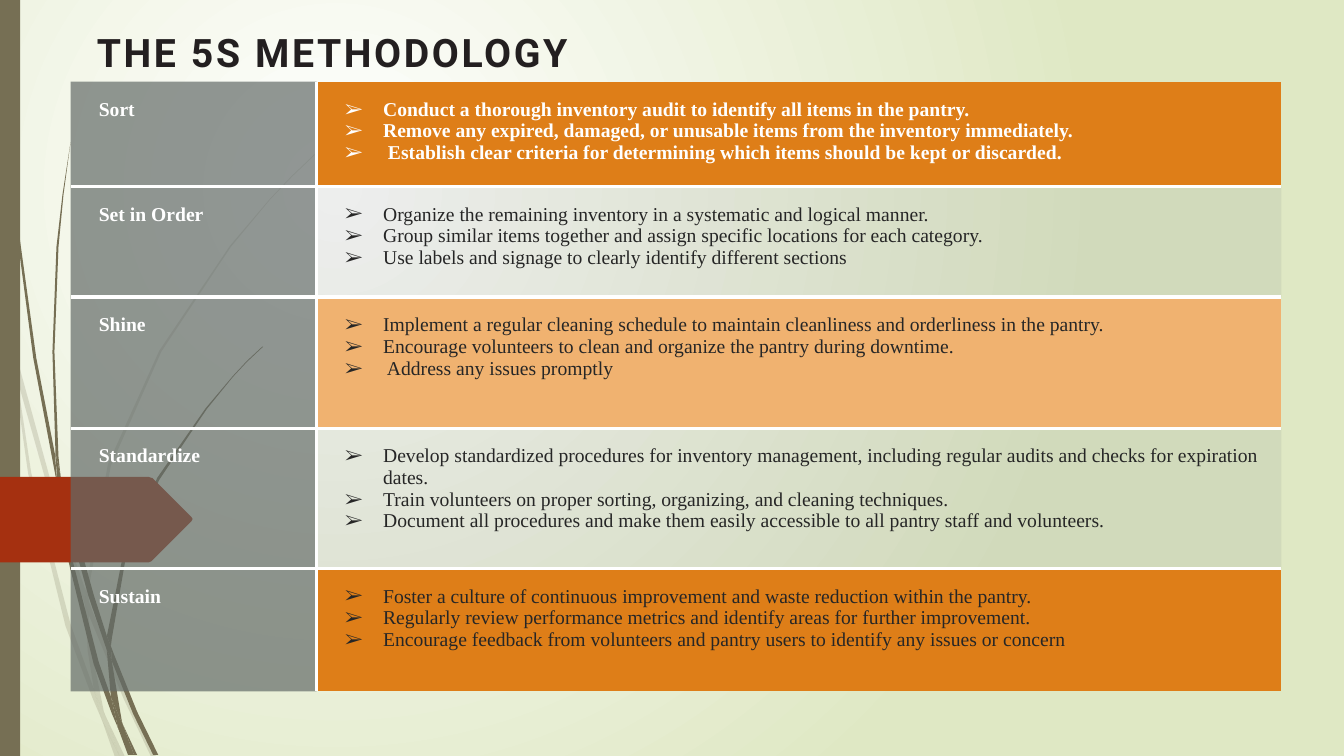
from itertools import product

from lxml.etree import SubElement
from pptx import Presentation
from pptx.dml.color import RGBColor
from pptx.enum.shapes import MSO_SHAPE
from pptx.enum.text import MSO_ANCHOR, PP_ALIGN
from pptx.oxml.ns import qn
from pptx.util import Pt

PX = 9144
COLORS = {
    "white": "FFFFFF", "meadow": "DFE8C4", "bark": "766F54", "rust": "A53010",
    "title": "231F20", "ink": "262626", "slate": "636B68", "mist": "878E8B",
    "orange": "DE7E18", "peach": "F0B270",
}

FAINT_GRASS = [
    [(11, 350), (9, 322), (0, 282), (0, 299), (10, 344)],
    [(58, 522), (84, 599), (85, 586), (62, 520), (14, 345), (17, 376)],
    [(92, 607), (88, 596), (88, 610), (123, 694), (150, 751), (155, 751), (127, 692)],
    [(119, 751), (124, 751), (105, 711)],
    [(93, 683), (70, 619), (31, 469), (17, 376), (11, 350), (28, 470), (65, 621),
     (92, 693), (101, 714), (99, 707)],
    [(84, 599), (87, 646), (93, 683), (96, 692), (105, 711), (103, 706), (91, 646),
     (88, 610), (88, 608)],
    [(88, 584), (110, 462), (160, 349), (229, 245), (268, 198), (290, 175), (312, 154),
     (312, 153), (289, 175), (268, 197), (228, 244), (158, 348), (107, 461), (85, 584),
     (85, 586), (88, 596)],
    [(101, 714), (114, 751), (119, 751)],
    [(88, 608), (88, 610), (88, 596), (85, 586), (84, 599)],
    [(96, 692), (93, 683), (99, 707), (101, 714), (119, 751), (105, 711)],
]
STRONG_GRASS = [
    [(7, 110), (17, 233), (33, 355), (56, 477), (57, 481), (55, 457), (55, 453), (36, 355),
     (19, 232), (8, 109), (5, 48), (4, 0), (3, 0), (4, 48)],
    [(88, 592), (106, 645), (106, 633), (106, 631), (93, 590), (60, 472), (64, 505)],
    [(113, 649), (110, 641), (111, 656), (132, 708), (152, 749), (157, 749), (136, 706)],
    [(110, 691), (98, 657), (72, 556), (64, 505), (57, 477), (68, 557), (93, 659),
     (111, 708), (117, 722), (116, 717)],
    [(60, 472), (58, 453), (54, 349), (58, 245), (63, 193), (70, 141), (62, 193), (56, 245),
     (52, 349), (55, 449)],
    [(133, 749), (136, 749), (122, 719)],
    [(57, 477), (64, 505), (60, 472), (55, 449), (55, 453)],
    [(111, 633), (125, 552), (158, 476), (205, 406), (231, 374), (245, 359), (261, 344),
     (260, 344), (245, 358), (231, 373), (204, 405), (156, 474), (122, 551), (106, 631),
     (110, 641)],
    [(117, 722), (127, 749), (131, 749)],
    [(106, 645), (110, 691), (116, 706), (122, 719), (121, 716), (111, 656), (109, 651)],
    [(106, 645), (109, 651), (111, 656), (110, 641), (106, 631), (106, 633)],
    [(116, 706), (110, 691), (116, 717), (117, 722), (130, 749), (133, 749), (122, 719)],
]
ARROW = [(147, 558), (150, 557), (151, 556), (190, 517), (191, 515), (190, 513),
         (151, 474), (150, 474), (147, 473), (0, 473), (0, 558)]

STEPS = [
    ("Sort", 104, ("orange", 100), "white", [
        "Conduct a thorough inventory audit to identify all items in the pantry.",
        "Remove any expired, damaged, or unusable items from the inventory immediately.",
        " Establish clear criteria for determining which items should be kept or discarded."]),
    ("Set in Order", 110, ("mist", 15), "ink", [
        "Organize the remaining inventory in a systematic and logical manner.",
        "Group similar items together and assign specific locations for each category.",
        "Use labels and signage to clearly identify different sections"]),
    ("Shine", 130, ("peach", 100), "ink", [
        "Implement a regular cleaning schedule to maintain cleanliness and orderliness "
        "in the pantry.",
        "Encourage volunteers to clean and organize the pantry during downtime.",
        " Address any issues promptly"]),
    ("Standardize", 139, ("mist", 15), "ink", [
        "Develop standardized procedures for inventory management, including regular "
        "audits and checks for expiration dates.",
        "Train volunteers on proper sorting, organizing, and cleaning techniques.",
        "Document all procedures and make them easily accessible to all pantry staff "
        "and volunteers."]),
    ("Sustain", 122, ("orange", 100), "ink", [
        "Foster a culture of continuous improvement and waste reduction within the pantry.",
        "Regularly review performance metrics and identify areas for further improvement.",
        "Encourage feedback from volunteers and pantry users to identify any issues "
        "or concern"]),
]


class Deck:
    """Holds the style and the current slide."""

    def __init__(self, width, height):
        """Open a one-slide presentation."""
        self.prs = Presentation()
        self.prs.slide_width, self.prs.slide_height = width * PX, height * PX
        self.s = self.prs.slides.add_slide(self.prs.slide_layouts[5])

    def color(self, name):
        """Return a named colour."""
        return RGBColor.from_string(COLORS[name])

    def paint(self, fill, name, alpha=100):
        """Apply a solid fill with an opacity in percent."""
        fill.solid()
        fill.fore_color.rgb = self.color(name)
        if alpha < 100:
            clr = fill._xPr.find(qn("a:solidFill")).find(qn("a:srgbClr"))
            SubElement(clr, qn("a:alpha"), val=str(alpha * 1000))

    def finish(self, sp, name, alpha=100):
        """Give a shape a plain fill without line or shadow."""
        sp.shadow.inherit = False
        sp.line.fill.background()
        self.paint(sp.fill, name, alpha)

    def background(self, inner, outer):
        """Fill the background with a circular gradient."""
        fill = self.s.background.fill
        fill.gradient()
        for stop, name in zip(fill.gradient_stops, (inner, outer)):
            stop.color.rgb = self.color(name)
        grad = self.s._element.find(".//" + qn("a:gradFill"))
        grad.remove(grad.find(qn("a:lin")))
        circle = SubElement(grad, qn("a:path"), path="circle")
        SubElement(circle, qn("a:fillToRect"), l="50000", t="50000", r="100000", b="100000")

    def outline(self, shapes, points, name, alpha=100):
        """Draw a closed outline."""
        builder = shapes.build_freeform(*points[0], scale=PX)
        builder.add_line_segments(points[1:], close=True)
        self.finish(builder.convert_to_shape(), name, alpha)

    def grass(self, pieces, alpha):
        """Draw a group of grass pieces."""
        group = self.s.shapes.add_group_shape()
        for points in pieces:
            self.outline(group.shapes, points, "bark", alpha)

    def bar(self, box, name):
        """Draw a rectangle."""
        sp = self.s.shapes.add_shape(MSO_SHAPE.RECTANGLE, *(v * PX for v in box))
        self.finish(sp, name)

    def format_run(self, r, size, font, name, bold):
        """Format one run."""
        r.font.size, r.font.name, r.font.bold = Pt(size), font, bold
        r.font.color.rgb = self.color(name)

    def title(self, text, box):
        """Move the title placeholder to the front and format it."""
        sp = self.s.shapes.title
        self.s.shapes._spTree.append(sp._element)
        sp.left, sp.top, sp.width, sp.height = (v * PX for v in box)
        tf = sp.text_frame
        tf.text = text
        tf.vertical_anchor = MSO_ANCHOR.TOP
        p = tf.paragraphs[0]
        p.alignment, p.line_spacing = PP_ALIGN.LEFT, Pt(27.3)
        p._p.get_or_add_pPr().set("marL", str(23 * PX))
        self.format_run(p.runs[0], 28, "Roboto", "title", True)
        p.runs[0]._r.get_or_add_rPr().set("spc", "190")

    def cell(self, cell, lines, fill, ink, bold, bulleted, inner):
        """Fill one table cell; inner tells which sides get a white border."""
        cell.margin_left = 28 * PX
        cell.margin_right = cell.margin_top = cell.margin_bottom = 17 * PX
        tcPr = cell._tc.get_or_add_tcPr()
        for side, shown in zip("LRTB", inner):
            ln = SubElement(tcPr, qn("a:ln" + side), w=str(Pt(3)))
            if shown:
                solid = SubElement(ln, qn("a:solidFill"))
                SubElement(solid, qn("a:srgbClr"), val=COLORS["white"])
            else:
                SubElement(ln, qn("a:noFill"))
        self.paint(cell.fill, *fill)
        cell.text_frame.text = "\n".join(lines)
        for p in cell.text_frame.paragraphs:
            self.format_run(p.runs[0], 14, "Times New Roman", ink, bold)
            if bulleted:
                pPr = p._p.get_or_add_pPr()
                pPr.set("marL", str(38 * PX))
                pPr.set("indent", str(-38 * PX))
                SubElement(pPr, qn("a:buFont"), typeface="Times New Roman")
                SubElement(pPr, qn("a:buChar"), char="➢")

    def table(self, steps, left, top, widths):
        """Draw the table of steps."""
        heights = [step[1] for step in steps]
        box = (left, top, sum(widths), sum(heights))
        tbl = self.s.shapes.add_table(len(steps), 2, *(v * PX for v in box)).table
        tbl.first_row = tbl.horz_banding = False
        for col, width in zip(tbl.columns, widths):
            col.width = width * PX
        for row, height in zip(tbl.rows, heights):
            row.height = height * PX
        for i, j in product(range(len(steps)), range(2)):
            name, _, fill, ink, lines = steps[i]
            inner = (j == 1, j == 0, i > 0, i < len(steps) - 1)
            if j == 0:
                self.cell(tbl.cell(i, j), [name], ("slate", 70), "white", True, False, inner)
            else:
                self.cell(tbl.cell(i, j), lines, fill, ink, i == 0, True, inner)


def main():
    """Build the slide and save it."""
    deck = Deck(1333, 750)
    deck.background("white", "meadow")
    deck.grass(FAINT_GRASS, 20)
    deck.grass(STRONG_GRASS, 100)
    deck.bar((0, 0, 20, 750), "bark")
    deck.outline(deck.s.shapes, ARROW, "rust")
    deck.title("THE 5S METHODOLOGY", (63, 32, 1279, 172))
    deck.table(STEPS, 70, 81, (244, 957))
    deck.prs.save("out.pptx")


if __name__ == "__main__":
    main()
